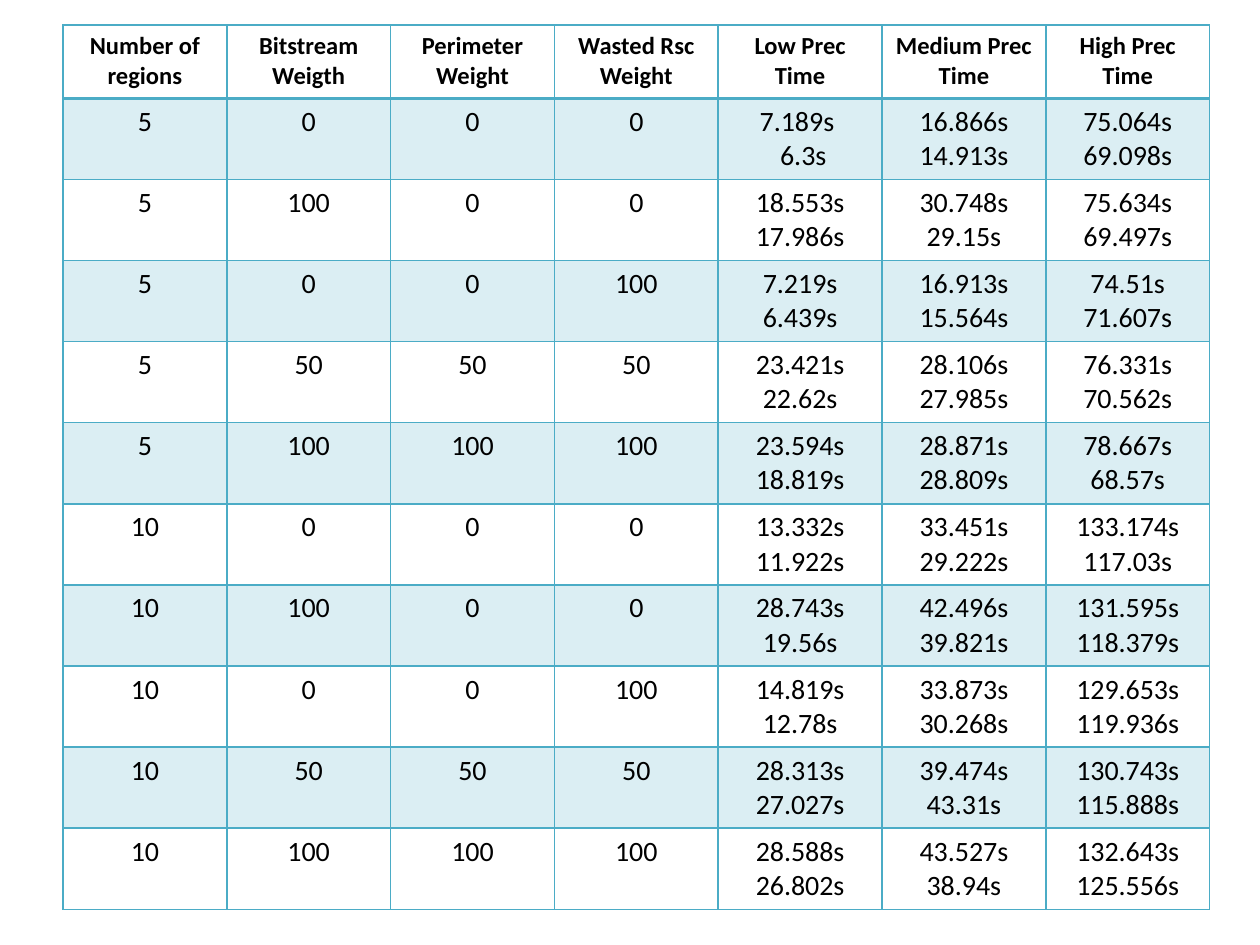
from lxml import etree
from pptx import Presentation
from pptx.dml.color import RGBColor
from pptx.enum.text import PP_ALIGN
from pptx.oxml.ns import qn
from pptx.util import Inches, Pt

CENTER = PP_ALIGN.CENTER
BLANK = 6
TEAL = "4BACC6"
BLACK = "000000"
COL_WIDTH = 1.3
HEADER_HEIGHT = 0.58
ROW_HEIGHT = 0.64
HEADER_FONT = {"size": Pt(14), "bold": True, "name": "Calibri"}
BODY_FONT = {"size": Pt(16), "bold": False, "name": "Calibri"}

HEADERS = ["Number of regions", "Bitstream Weigth", "Perimeter Weight",
           "Wasted Rsc Weight", "Low Prec\nTime", "Medium Prec\nTime",
           "High Prec\nTime"]
ROWS = [
    ["5", "0", "0", "0", "7.189s \n 6.3s", "16.866s\n14.913s", "75.064s\n69.098s"],
    ["5", "100", "0", "0", "18.553s\n17.986s", "30.748s\n29.15s", "75.634s 69.497s"],
    ["5", "0", "0", "100", "7.219s\n6.439s", "16.913s\n15.564s", "74.51s\n71.607s"],
    ["5", "50", "50", "50", "23.421s\n22.62s", "28.106s\n27.985s", "76.331s\n70.562s"],
    ["5", "100", "100", "100", "23.594s\n18.819s", "28.871s\n28.809s", "78.667s\n68.57s"],
    ["10", "0", "0", "0", "13.332s\n11.922s", "33.451s\n29.222s", "133.174s\n117.03s"],
    ["10", "100", "0", "0", "28.743s\n19.56s", "42.496s\n39.821s", "131.595s\n118.379s"],
    ["10", "0", "0", "100", "14.819s\n12.78s", "33.873s\n30.268s", "129.653s\n119.936s"],
    ["10", "50", "50", "50", "28.313s\n27.027s", "39.474s\n43.31s", "130.743s\n115.888s"],
    ["10", "100", "100", "100", "28.588s\n26.802s", "43.527s\n38.94s", "132.643s\n125.556s"],
]


def rgb(color):
    return RGBColor.from_string(color)


def set_text(cell, text, font):
    tf = cell.text_frame
    tf.text = text
    for p in tf.paragraphs:
        p.alignment = CENTER
        for r in p.runs:
            for name, value in font.items():
                setattr(r.font, name, value)
            r.font.color.rgb = rgb(BLACK)


def set_borders(cell, widths):
    tcPr = cell._tc.get_or_add_tcPr()
    for side, width in widths.items():
        ln = etree.SubElement(tcPr, qn(f"a:ln{side}"), w=str(Pt(width)))
        fill = etree.SubElement(ln, qn("a:solidFill"))
        etree.SubElement(fill, qn("a:srgbClr"), val=TEAL)


def set_fill(cell, shaded):
    if not shaded:
        cell.fill.background()
        return
    cell.fill.solid()
    cell.fill.fore_color.rgb = rgb(TEAL)
    color = cell._tc.tcPr.find(f"{qn('a:solidFill')}/{qn('a:srgbClr')}")
    etree.SubElement(color, qn("a:alpha"), val="20000")


def add_timing_table(s):
    data = [HEADERS] + ROWS
    table = s.shapes.add_table(
        len(data), len(HEADERS), Inches(0.5), Inches(0.2),
        Inches(COL_WIDTH * len(HEADERS)),
        Inches(HEADER_HEIGHT + ROW_HEIGHT * len(ROWS))).table
    table.horz_banding = False
    for column in table.columns:
        column.width = Inches(COL_WIDTH)
    for i, values in enumerate(data):
        table.rows[i].height = Inches(ROW_HEIGHT if i else HEADER_HEIGHT)
        widths = {"L": 1, "R": 1, "T": 2 if i == 1 else 1, "B": 1 if i else 2}
        for j, text in enumerate(values):
            cell = table.cell(i, j)
            set_text(cell, text, BODY_FONT if i else HEADER_FONT)
            set_borders(cell, widths)
            set_fill(cell, i % 2 == 1)


def main():
    prs = Presentation()
    prs.slide_width = Inches(10)
    prs.slide_height = Inches(7.5)
    s = prs.slides.add_slide(prs.slide_layouts[BLANK])
    add_timing_table(s)
    prs.save("out.pptx")


main()
